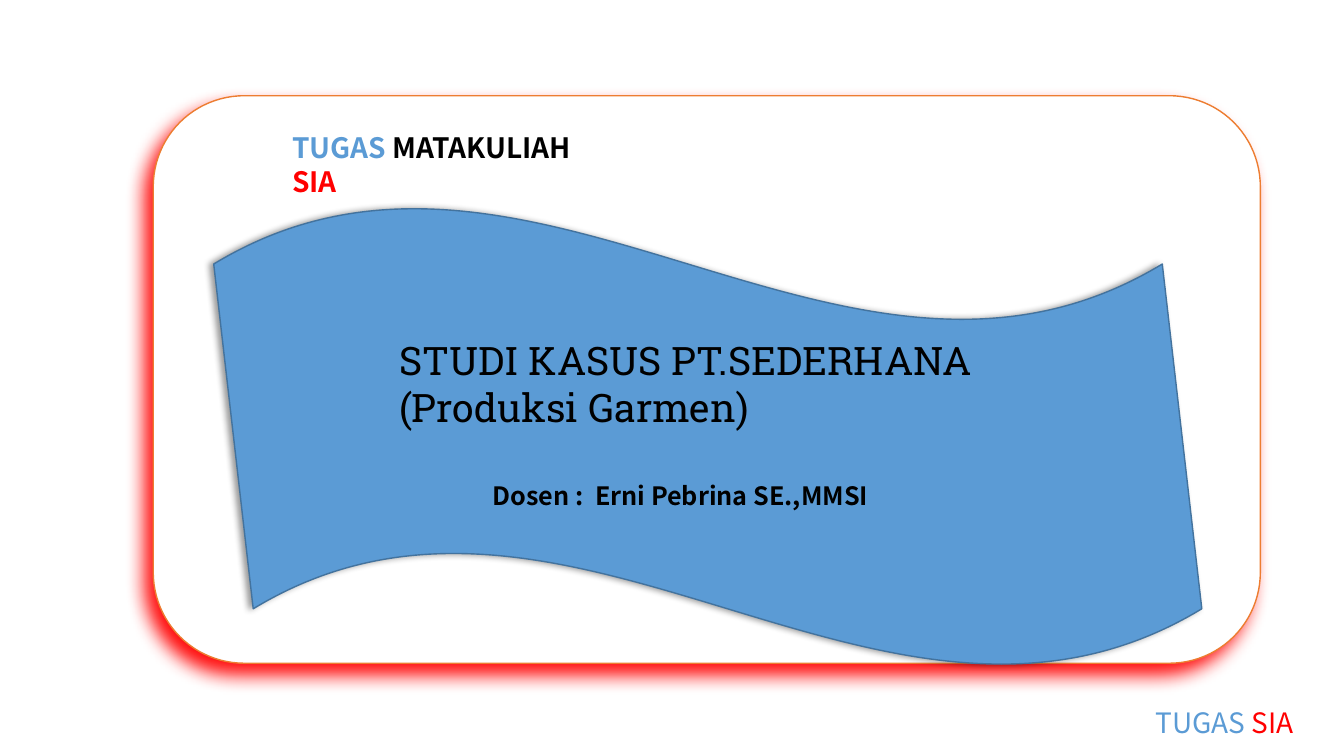
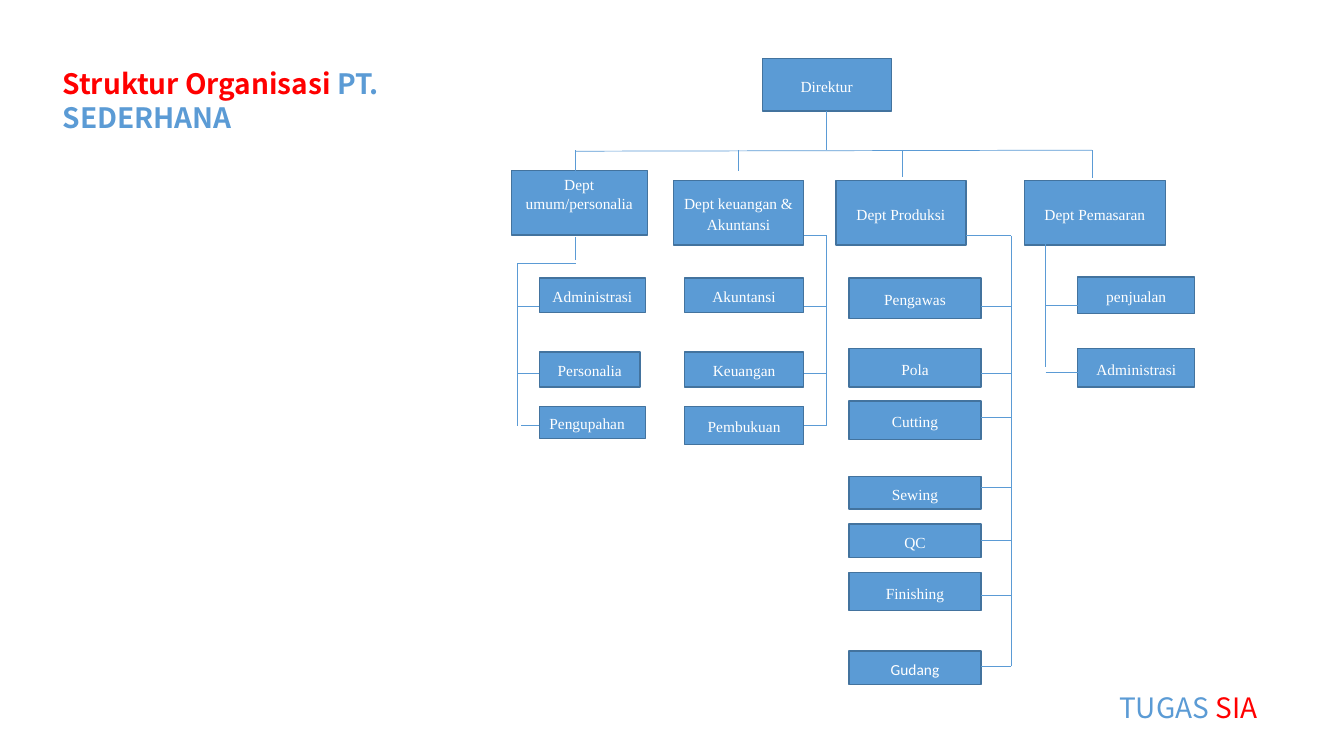
from pptx import Presentation
from pptx.util import Inches, Pt
from pptx.dml.color import RGBColor
from pptx.enum.shapes import MSO_SHAPE, MSO_CONNECTOR
from pptx.enum.text import PP_ALIGN, MSO_ANCHOR, MSO_AUTO_SIZE
from pptx.oxml.ns import qn
from lxml.etree import SubElement

BLUE = RGBColor(0x5B, 0x9B, 0xD5)
NAVY = RGBColor(0x43, 0x73, 0x9E)
ORANGE = RGBColor(0xED, 0x7D, 0x31)
RED = RGBColor(0xFF, 0, 0)
BLACK = RGBColor(0, 0, 0)
WHITE = RGBColor(0xFF, 0xFF, 0xFF)
BOLD_FACE = "Noto Sans CJK KR"
FACE = "Noto Sans CJK SC"
SLAB = "Roboto Slab"
SERIF = "Times New Roman"
WIDE, HIGH = 13.33, 7.5

HUB = 0.91
DEPTS = [
    dict(name="Dept umum/personalia", left=0, top=1.11, wide=1.35, drop=0.64, end=1.12,
         spine=0.06, span=(2.03, 3.65), side=0.28, anchor=MSO_ANCHOR.TOP, space=1.0,
         links=[(0.64, 1.77, 0.64, 2.0), (0.06, 2.03, 0.64, 2.03)],
         kids=[("Administrasi", 2.18, 0.34, 2.46, dict(wide=1.05)),
               ("Personalia", 2.91, 0.35, 3.12, dict(wide=1.0)),
               ("Pengupahan", 3.45, 0.32, 3.64,
                dict(wide=1.05, gap=0.04, align=PP_ALIGN.LEFT))]),
    dict(name="Dept keuangan & Akuntansi", left=1.61, top=1.21, wide=1.29, drop=2.25,
         end=1.12, spine=3.13, span=(1.76, 3.65), side=1.72,
         links=[(2.9, 1.76, 3.13, 1.76)],
         kids=[("Akuntansi", 2.18, 0.34, 2.46, dict(wide=1.18)),
               ("Keuangan", 2.91, 0.35, 3.12, dict(wide=1.18)),
               ("Pembukuan", 3.45, 0.38, 3.64, dict(wide=1.18))]),
    dict(name="Dept Produksi", left=3.22, top=1.21, wide=1.29, drop=3.88, end=1.18,
         spine=4.96, span=(1.76, 6.03), side=3.35,
         links=[(4.51, 1.76, 4.96, 1.76)],
         kids=[("Pengawas", 2.18, 0.4, 2.46, {}),
               ("Pola", 2.88, 0.38, 3.12, {}),
               ("Cutting", 3.4, 0.38, 3.56, {}),
               ("Sewing", 4.15, 0.32, 4.26, {}),
               ("QC", 4.62, 0.33, 4.78, {}),
               ("Finishing", 5.1, 0.38, 5.33, {}),
               ("Gudang", 5.88, 0.33, 6.03, dict(font="Calibri"))]),
    dict(name="Dept Pemasaran", left=5.09, top=1.21, wide=1.4, drop=5.76, end=1.19,
         spine=5.3, span=(1.84, 3.06), side=5.62, links=[],
         kids=[("penjualan", 2.17, 0.36, 2.45, dict(wide=1.16)),
               ("Administrasi", 2.88, 0.38, 3.11, dict(wide=1.16))]),
]


def text(shape, runs, font=FACE, size=20, bold=False, align=PP_ALIGN.LEFT,
         anchor=MSO_ANCHOR.TOP, space=1.0):
    frame = shape.text_frame
    frame.word_wrap = True
    frame.auto_size = MSO_AUTO_SIZE.NONE
    frame.vertical_anchor = anchor
    para = frame.paragraphs[0]
    para.alignment = align
    para.line_spacing = space
    for words, color in runs:
        run = para.add_run()
        run.text = words
        run.font.name = font
        run.font.size = Pt(size)
        run.font.bold = bold
        run.font.color.rgb = color


def label(slide, box, runs, **style):
    text(slide.shapes.add_textbox(*map(Inches, box)), runs, **style)


def title(slide, box, runs, **style):
    holder = slide.shapes.title
    holder.left, holder.top, holder.width, holder.height = map(Inches, box)
    text(holder, runs, **style)
    holder.element.getparent().append(holder.element)


def block(slide, kind, box, fill=BLUE, edge=NAVY):
    shape = slide.shapes.add_shape(kind, *map(Inches, box))
    shape.shadow.inherit = False
    shape.fill.solid()
    shape.fill.fore_color.rgb = fill
    shape.line.color.rgb = edge
    shape.line.width = Pt(1)
    return shape


def shade(shape, color, alpha, blur, dist, angle):
    effects = shape.element.spPr.find(qn("a:effectLst"))
    outer = SubElement(effects, qn("a:outerShdw"), blurRad=str(Pt(blur)),
                       dist=str(Pt(dist)), dir=str(angle * 60000),
                       algn="ctr", rotWithShape="0")
    tone = SubElement(outer, qn("a:srgbClr"), val=str(color))
    SubElement(tone, qn("a:alpha"), val=str(alpha * 1000))


def footer(slide, left, top):
    label(slide, (left, top, 1.98, 0.44), [("TUGAS ", BLUE), ("SIA", RED)])


def cover(slide, box):
    left, top, wide, high = box
    card = block(slide, MSO_SHAPE.ROUNDED_RECTANGLE, box, WHITE, ORANGE)
    card.adjustments[0] = 0.16
    shade(card, RED, 95, 14, 10, 130)
    wave = block(slide, MSO_SHAPE.WAVE, (left + 0.6, top + 1.1, wide - 1.18, high - 1.07))
    wave.adjustments[0], wave.adjustments[1] = 0.125, 0.02
    shade(wave, BLACK, 40, 4, 3, 180)
    label(slide, (left + 1.28, top + 0.3, 3.06, 0.44),
          [("TUGAS", BLUE), (" MATAKULIAH ", BLACK), ("SIA", RED)],
          font=BOLD_FACE, bold=True)
    title(slide, (left + 2.34, top + 2.34, 7.57, 1.04),
          [("STUDI KASUS PT.SEDERHANA (Produksi Garmen)", BLACK)], font=SLAB, size=28)
    label(slide, (left + 1.7, top + 3.77, 7.06, 0.4),
          [("Dosen :  Erni Pebrina SE.,MMSI", BLACK)],
          size=18, bold=True, align=PP_ALIGN.CENTER)


def chart(slide, left, top):
    def node(name, x, y, wide, high, font=SERIF, align=PP_ALIGN.CENTER,
             anchor=MSO_ANCHOR.MIDDLE, space=1.15):
        shape = block(slide, MSO_SHAPE.RECTANGLE, (left + x, top + y, wide, high))
        text(shape, [(name, WHITE)], font=font, size=11, align=align,
             anchor=anchor, space=space)

    def link(x1, y1, x2, y2):
        line = slide.shapes.add_connector(
            MSO_CONNECTOR.STRAIGHT, Inches(left + x1), Inches(top + y1),
            Inches(left + x2), Inches(top + y2))
        line.line.color.rgb = BLUE
        line.line.width = Pt(0.5)
        SubElement(line.element.spPr, qn("a:effectLst"))

    def branch(name, left, top, wide, drop, end, spine, span, side, links, kids, **style):
        node(name, left, top, wide, 0.64, **style)
        link(drop, HUB, drop, end)
        link(spine, span[0], spine, span[1])
        for ends in links:
            link(*ends)
        for kid, y, high, stub, extra in kids:
            look = dict(extra)
            breadth = look.pop("wide", 1.31)
            gap = look.pop("gap", 0)
            node(kid, side, y, breadth, high, **look)
            edge = side if spine < side else side + breadth
            link(spine + gap, stub, edge, stub)

    node("Direktur", 2.49, 0, 1.28, 0.52)
    link(3.13, 0.52, 3.13, HUB)
    link(DEPTS[0]["drop"], HUB + 0.01, DEPTS[-1]["drop"], HUB)
    for dept in DEPTS:
        branch(**dept)


def main():
    deck = Presentation()
    deck.slide_width, deck.slide_height = Inches(WIDE), Inches(HIGH)
    first, second = [deck.slides.add_slide(deck.slide_layouts[5]) for _ in range(2)]
    cover(first, (1.52, 0.95, 10.98, 5.63))
    footer(first, 11.36, 6.95)
    chart(second, 5.07, 0.58)
    title(second, (0.52, 0.61, 4.83, 0.44),
          [("Struktur Organisasi ", RED), ("PT. SEDERHANA", BLUE)],
          font=BOLD_FACE, bold=True)
    footer(second, 11, 6.8)
    deck.save("out.pptx")


if __name__ == "__main__":
    main()
